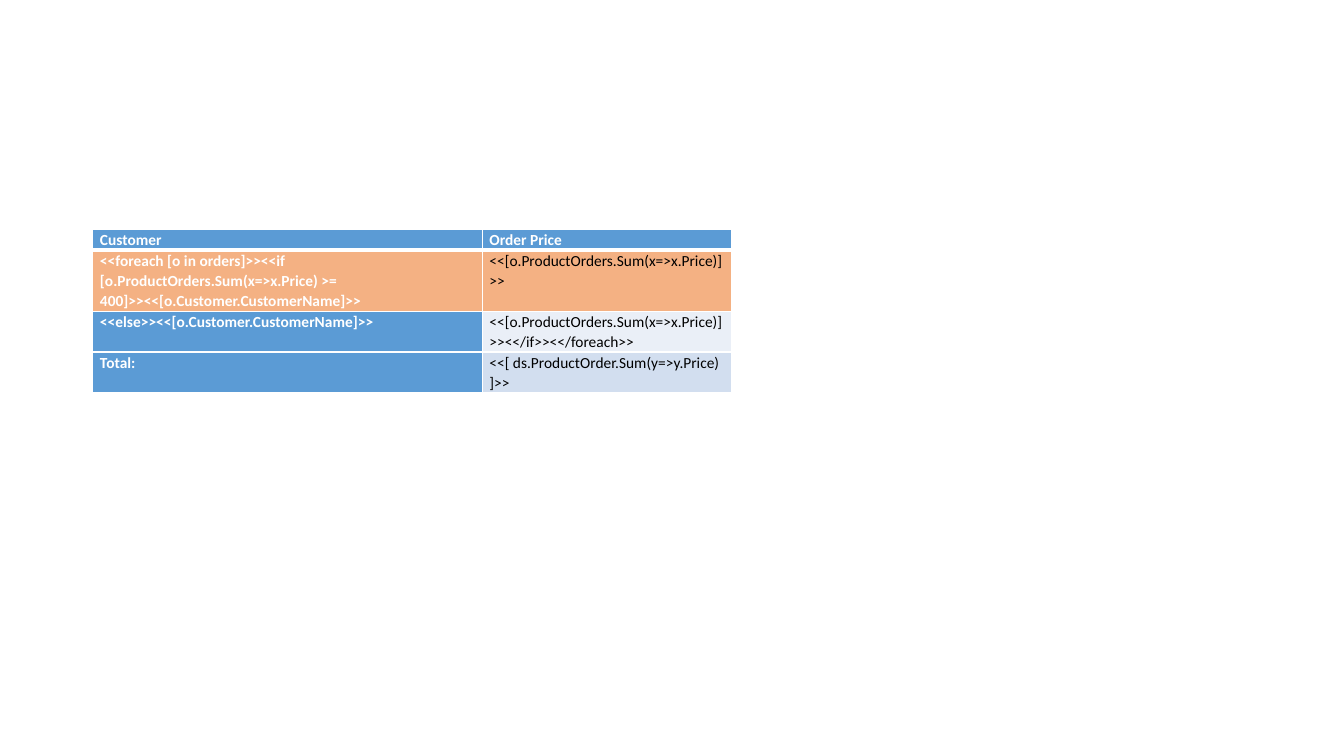
from dataclasses import dataclass

from lxml.etree import SubElement as Sub
from pptx import Presentation as Deck
from pptx.dml.color import RGBColor as RGB
from pptx.oxml.ns import qn
from pptx.util import Cm, Pt


@dataclass(frozen=True)
class Theme:
    """Colours and type sizes of the slide."""
    font: str = "Calibri"
    size: float = 11
    lead: float = 1.07
    white: str = "FFFFFF"
    black: str = "000000"
    blue: str = "5B9BD5"
    orange: str = "F4B183"
    pale: str = "EAEFF7"
    mist: str = "D2DEEF"
    thin: float = 1
    thick: float = 3


LOOK = Theme()
PRICE = "<<[o.ProductOrders.Sum(x=>x.Price)]>>"
NAME = "<<[o.Customer.CustomerName]>>"

# Each row: height in cm, then text and fill of both cells
ROWS = [
    (0.5, ("Customer", LOOK.blue), ("Order Price", LOOK.blue)),
    (1.54, ("<<foreach [o in orders]>><<if "
            "[o.ProductOrders.Sum(x=>x.Price) >= 400]>>" + NAME, LOOK.orange),
     (PRICE, LOOK.orange)),
    (1.02, ("<<else>>" + NAME, LOOK.blue),
     (PRICE + "<</if>><</foreach>>", LOOK.pale)),
    (1.02, ("Total:", LOOK.blue),
     ("<<[ ds.ProductOrder.Sum(y=>y.Price)]>>", LOOK.mist)),
]


def write(frame, text, color=LOOK.black, bold=False):
    """Put one formatted paragraph into a text frame."""
    para = frame.paragraphs[0]
    para.line_spacing = LOOK.lead
    run = para.add_run()
    run.text = text
    font = run.font
    font.name, font.size, font.bold = LOOK.font, Pt(LOOK.size), bold
    font.color.rgb = RGB.from_string(color)


def edge(cell, **widths):
    """Draw white cell borders, given as side=points in L, R, T, B order."""
    props = cell._tc.get_or_add_tcPr()
    for spot, (side, width) in enumerate(widths.items()):
        line = Sub(props, qn(f"a:ln{side}"), w=str(Pt(width)))
        fill = Sub(line, qn("a:solidFill"))
        Sub(fill, qn("a:srgbClr"), val=LOOK.white)
        props.insert(spot, line)


def orders(slide, left, top, width, share):
    """Place the order table; share is the first column's part of the width."""
    high = sum(row[0] for row in ROWS)
    grid = slide.shapes.add_table(
        len(ROWS), 2, Cm(left), Cm(top), Cm(width), Cm(high)).table
    grid.horz_banding = False
    for col, part in zip(grid.columns, (share, 1 - share)):
        col.width = Cm(width * part)
    for i, (tall, *cells) in enumerate(ROWS):
        grid.rows[i].height = Cm(tall)
        for j, (text, fill) in enumerate(cells):
            cell = grid.cell(i, j)
            cell.margin_left = cell.margin_right = Cm(0.18)
            cell.margin_top = cell.margin_bottom = 0
            cell.fill.solid()
            cell.fill.fore_color.rgb = RGB.from_string(fill)
            head = i == 0 or j == 0
            write(cell.text_frame, text, bold=head,
                  color=LOOK.white if head else LOOK.black)
            edge(cell, L=LOOK.thin, R=LOOK.thin,
                 T=LOOK.thick if i == 1 else LOOK.thin,
                 B=LOOK.thick if i == 0 else LOOK.thin)


def main():
    """Build and save the deck."""
    deck = Deck()
    deck.slide_width, deck.slide_height = Cm(33.87), Cm(19.05)
    slide = deck.slides.add_slide(deck.slide_layouts[6])
    orders(slide, left=2.34, top=5.79, width=16.09, share=0.61)
    deck.save("out.pptx")


main()
